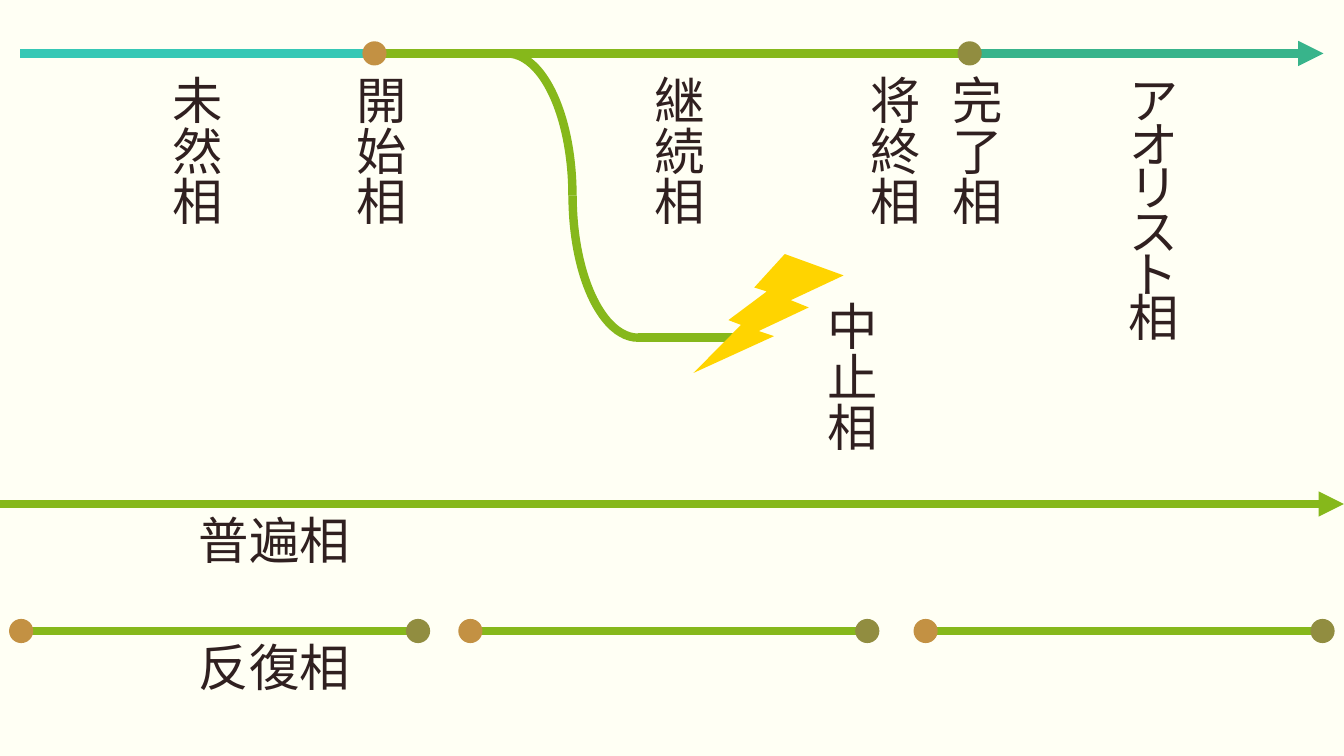
"""Draw a timeline of grammatical aspects, from not-yet-begun to repeated action."""
from lxml import etree
from pptx import Presentation
from pptx.dml.color import RGBColor
from pptx.enum import shapes, text
from pptx.oxml import ns
from pptx.util import Pt

CREAM = RGBColor(0xFF, 0xFF, 0xF4)
INK = RGBColor(0x30, 0x20, 0x20)
GREEN = RGBColor(0x86, 0xB8, 0x1B)
TEAL = RGBColor(0x36, 0xC8, 0xB5)
JADE = RGBColor(0x38, 0xB4, 0x8B)
START = RGBColor(0xC3, 0x91, 0x43)
END = RGBColor(0x91, 0x8D, 0x40)
YELLOW = RGBColor(0xFF, 0xD4, 0x00)
SHAPE = shapes.MSO_SHAPE


class AspectSlide:
    font = "Noto Sans CJK SC"
    size = 36
    weight = 6
    dot_size = 17.28

    def __init__(self, prs):
        self.s = prs.slides.add_slide(prs.slide_layouts[6])
        fill = self.s.background.fill
        fill.solid()
        fill.fore_color.rgb = CREAM
        self.group()

    def group(self):
        self.shapes = self.s.shapes.add_group_shape().shapes

    def line(self, x1, x2, y, color, arrow=False):
        cn = self.shapes.add_connector(
            shapes.MSO_CONNECTOR.STRAIGHT, Pt(x1), Pt(y), Pt(x2), Pt(y))
        cn.line.color.rgb = color
        cn.line.width = Pt(self.weight)
        sp_pr = cn._element.spPr
        if arrow:
            ln = sp_pr.find(ns.qn("a:ln"))
            etree.SubElement(ln, ns.qn("a:tailEnd")).set("type", "triangle")
        etree.SubElement(sp_pr, ns.qn("a:effectLst"))

    def shape(self, kind, x, y, w, h, color):
        sp = self.shapes.add_shape(kind, Pt(x), Pt(y), Pt(w), Pt(h))
        sp.shadow.inherit = False
        sp.fill.solid()
        sp.fill.fore_color.rgb = color
        sp.line.fill.background()
        return sp

    def dot(self, x, y, color):
        d = self.dot_size
        self.shape(SHAPE.OVAL, x - d / 2, y - d / 2, d, d, color)

    def arc(self, x, y, w, h, rotation=0):
        sp = self.shape(SHAPE.ARC, x, y, w, h, GREEN)
        sp.fill.background()
        sp.line.color.rgb = GREEN
        sp.line.width = Pt(self.weight)
        sp.rotation = rotation

    def bolt(self, x, y, w, h):
        sp = self.shape(SHAPE.LIGHTNING_BOLT, x, y, w, h, YELLOW)
        sp._element.spPr.find(ns.qn("a:xfrm")).set("flipH", "1")

    def label(self, words, x, y, w, h, vertical=False, spacing=0):
        sp = self.shapes.add_textbox(Pt(x), Pt(y), Pt(w), Pt(h))
        tf = sp.text_frame
        tf.word_wrap = False
        tf.auto_size = text.MSO_AUTO_SIZE.SHAPE_TO_FIT_TEXT
        if vertical:
            tf._txBody.bodyPr.set("vert", "eaVert")
        r = tf.paragraphs[0].add_run()
        r.text = words
        r.font.size = Pt(self.size)
        r.font.name = self.font
        r.font.color.rgb = INK
        r_pr = r._r.get_or_add_rPr()
        etree.SubElement(r_pr, ns.qn("a:ea")).set("typeface", self.font)
        if spacing:
            r_pr.set("spc", str(spacing * 100))

    def column(self, words, x, y, h=116.64, spacing=0):
        self.label(words, x, y, 58.32, h, True, spacing)

    def row(self, words, y):
        self.label(words, 135, y, 123.84, 51.12)


def draw_course(slide):
    top, begin, finish = 38.16, 267.5, 692.64
    slide.line(begin, finish, top, GREEN)
    slide.line(14.4, begin, top, TEAL)
    slide.line(finish, 945.36, top, JADE, arrow=True)

    label_top = 46.8
    for words, x in (("開始相", 238.32), ("完了相", 663.84), ("将終相", 605.52),
                     ("継続相", 450.72), ("未然相", 106.56)):
        slide.column(words, x, label_top)
    slide.column("アオリスト相", 789.84, label_top, 195.12, -5)

    arc_left, arc_w, arc_h = 315.36, 93.6, 203.04
    slide.line(arc_left + 1.5 * arc_w, 527.04, top + arc_h, GREEN)
    slide.column("中止相", 574.56, 208.08)
    slide.dot(begin, top, START)
    slide.dot(finish, top, END)
    slide.arc(arc_left, top, arc_w, arc_h)
    slide.arc(arc_left + arc_w, top, arc_w, arc_h, 180)
    slide.bolt(495.36, 181.44, 107.28, 84.96)


def draw_universal(slide):
    slide.group()
    slide.line(0, 960, 360, GREEN, arrow=True)
    slide.row("普遍相", 360)


def draw_repetition(slide):
    slide.group()
    y, length = 450.72, 283.5
    for x in (15.12, 336.0, 661.2):
        slide.line(x, x + length, y, GREEN)
        slide.dot(x, y, START)
        slide.dot(x + length, y, END)
    slide.row("反復相", y)


def main():
    prs = Presentation()
    prs.slide_width, prs.slide_height = Pt(960), Pt(540)
    slide = AspectSlide(prs)
    draw_course(slide)
    draw_universal(slide)
    draw_repetition(slide)
    prs.save("out.pptx")


if __name__ == "__main__":
    main()
